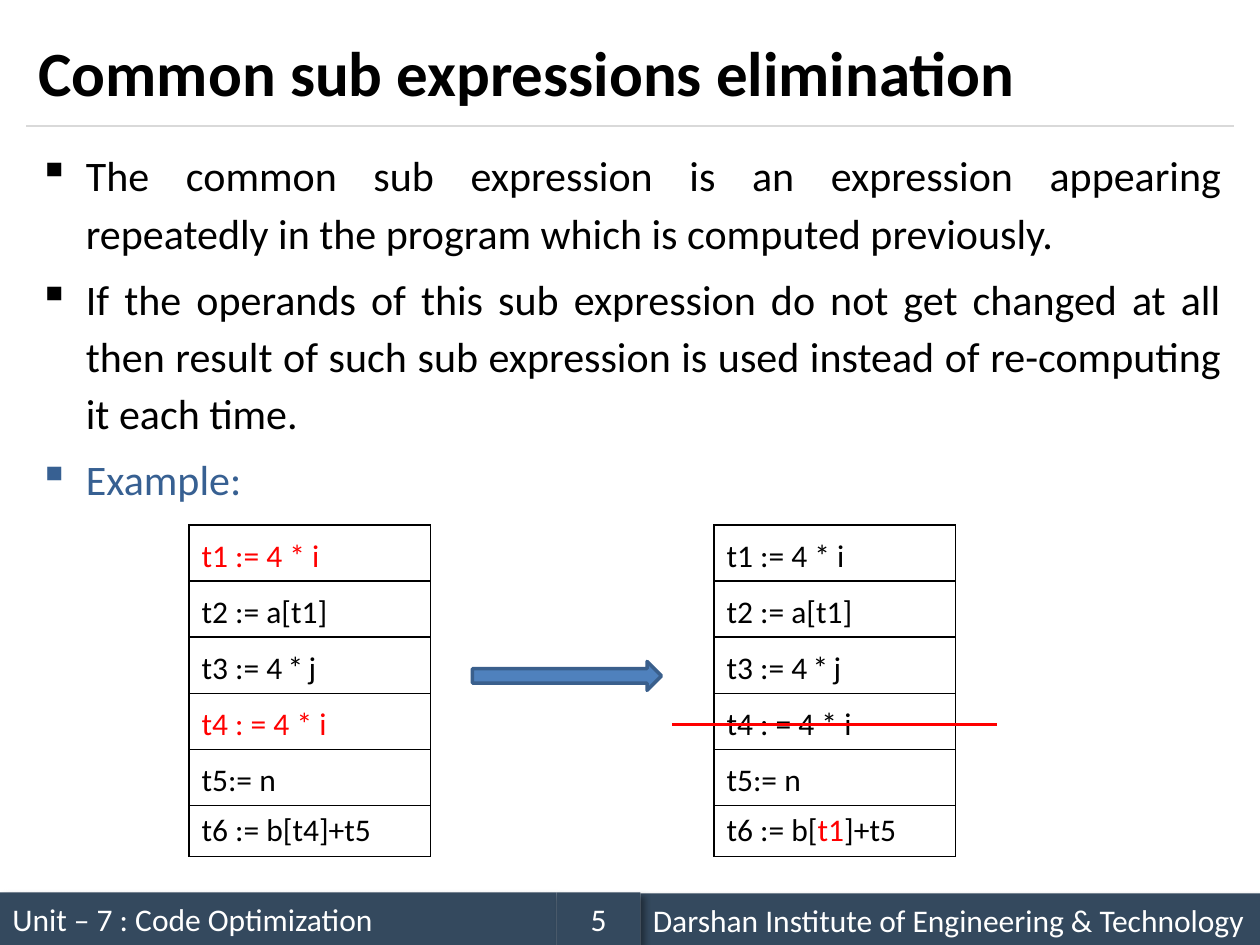
from lxml.etree import SubElement
from pptx import Presentation
from pptx.dml.color import RGBColor
from pptx.enum.shapes import MSO_CONNECTOR as Line, MSO_SHAPE as Shape
from pptx.enum.text import MSO_ANCHOR as Anchor, PP_ALIGN as Align
from pptx.oxml.ns import qn
from pptx.util import Pt

COLORS = {"text": "000000", "white": "FFFFFF", "red": "FF0000", "accent": "376092",
          "rule": "D9D9D9", "bar": "34495E", "arrow": "4F81BD", "arrow_edge": "3A5F8C"}
FONT = "Calibri"
BULLETS = [
    ("The common sub expression is an expression appearing repeatedly in the program "
     "which is computed previously.", "text", Align.JUSTIFY),
    ("If the operands of this sub expression do not get changed at all then result of "
     "such sub expression is used instead of re-computing it each time.", "text", Align.JUSTIFY),
    ("Example:", "accent", Align.LEFT),
]


def rgb(name):
    return RGBColor.from_string(COLORS[name])


def write(para, text, size=18, color="text", bold=False, align=None, tracking=0):
    """Add one formatted run to a paragraph."""
    if align is not None:
        para.alignment = align
    span = para.add_run()
    span.text = text
    span.font.name, span.font.size, span.font.bold = FONT, Pt(size), bold
    span.font.color.rgb = rgb(color)
    if tracking:
        span._r.get_or_add_rPr().set("spc", str(tracking * 100))


def add_text_box(page, left, top, width, height, anchor=Anchor.TOP):
    frame = page.shapes.add_textbox(Pt(left), Pt(top), Pt(width), Pt(height)).text_frame
    frame.word_wrap = True
    frame.vertical_anchor = anchor
    return frame


def add_line(page, left, right, y, color, width):
    line = page.shapes.add_connector(Line.STRAIGHT, Pt(left), Pt(y), Pt(right), Pt(y))
    line.line.color.rgb = rgb(color)
    line.line.width = Pt(width)
    SubElement(line._element.spPr, qn("a:effectLst"))


def add_header(page, left, top, width, height):
    frame = add_text_box(page, left, top, width, height, Anchor.MIDDLE)
    write(frame.paragraphs[0], "Common sub expressions elimination", size=36, bold=True)
    add_line(page, left, left + width, top + height, "rule", 0.75)


def add_bullets(page, left, top, width, height):
    frame = add_text_box(page, left, top, width, height)
    for index, (text, color, align) in enumerate(BULLETS):
        para = frame.add_paragraph() if index else frame.paragraphs[0]
        para.line_spacing = 1.14
        para.space_before = Pt(4.8 if index else 0)
        props = para._p.get_or_add_pPr()
        props.set("marL", str(Pt(27)))
        props.set("indent", str(Pt(-27)))
        SubElement(props, qn("a:buChar"), char="▪")
        write(para, text, size=24, color=color, align=align)


def set_borders(cell):
    props = cell._tc.get_or_add_tcPr()
    for side in ("lnL", "lnR", "lnT", "lnB"):
        edge = SubElement(props, qn(f"a:{side}"), w=str(Pt(1)))
        fill = SubElement(edge, qn("a:solidFill"))
        SubElement(fill, qn("a:srgbClr"), val=COLORS["text"])


def add_code_table(page, left, top, width, row_height, repeat_color, last_row):
    """One statement per row; repeat_color marks the repeated expression."""
    rows = [
        [("t1 := 4 * i", {"color": repeat_color})],
        [("t2 := a[t1]", {})],
        [("t3 := ", {}), ("4*j ", {"tracking": 3})],
        [("t4 : = 4 * i", {"color": repeat_color})],
        [("t5:= n", {})],
        last_row,
    ]
    table = page.shapes.add_table(len(rows), 1, Pt(left), Pt(top), Pt(width),
                                  Pt(row_height * len(rows))).table
    table.first_row = table.horz_banding = False
    for index, spans in enumerate(rows):
        cell = table.cell(index, 0)
        set_borders(cell)
        cell.fill.background()
        para = cell.text_frame.paragraphs[0]
        if spans is not last_row:
            para.alignment = Align.JUSTIFY
            para.line_spacing = 1.15
            para.space_after = Pt(10)
        for text, style in spans:
            write(para, text, **style)


def add_example(page, left, top, width, row_height):
    """Code before and after, with an arrow between and the dropped row struck out."""
    right = left + 300
    add_code_table(page, left, top, width, row_height, "red", [("t6 := b[t4]+t5", {})])
    add_code_table(page, right, top, width, row_height, "text",
                   [("t6 := b[", {}), ("t1", {"color": "red"}), ("]+t5", {})])
    add_line(page, right - 24, right + width + 24, top + 114, "red", 2)
    arrow = page.shapes.add_shape(Shape.RIGHT_ARROW, Pt(left + 162), Pt(top + 78),
                                  Pt(108), Pt(16.5))
    arrow.shadow.inherit = False
    arrow.fill.solid()
    arrow.fill.fore_color.rgb = rgb("arrow")
    arrow.line.color.rgb = rgb("arrow_edge")
    arrow.line.width = Pt(2)


def add_bar(page, left, top, width, height, text, align=Align.LEFT):
    bar = page.shapes.add_shape(Shape.RECTANGLE, Pt(left), Pt(top), Pt(width), Pt(height))
    bar.fill.solid()
    bar.fill.fore_color.rgb = rgb("bar")
    bar.line.fill.background()
    # Soft shadow towards the lower right
    bar.shadow.inherit = False
    effects = bar._element.spPr.find(qn("a:effectLst"))
    shadow = SubElement(effects, qn("a:outerShdw"), blurRad=str(Pt(4)), dist=str(Pt(3)),
                        dir="2700000", algn="tl", rotWithShape="0")
    color = SubElement(shadow, qn("a:srgbClr"), val=COLORS["text"])
    SubElement(color, qn("a:alpha"), val="40000")
    bar.text_frame.word_wrap = True
    bar.text_frame.vertical_anchor = Anchor.MIDDLE
    write(bar.text_frame.paragraphs[0], text, color="white", align=align)


def add_footer(page, left, top, width, height):
    unit, number = 318, 48
    add_bar(page, left, top, unit, height, "Unit – 7 : Code Optimization")
    add_bar(page, left + unit + number, top + 0.5, width - unit - number, height,
            "Darshan Institute of Engineering & Technology")
    add_bar(page, left + unit, top, number, height, "5", Align.CENTER)


def main():
    deck = Presentation()
    deck.slide_width, deck.slide_height = Pt(720), Pt(540)
    page = deck.slides.add_slide(deck.slide_layouts[6])
    add_footer(page, 0, 510, 720, 30)
    add_header(page, 15, 9, 690, 63)
    add_bullets(page, 15, 78, 690, 420)
    add_example(page, 108, 300, 138, 29.2)
    deck.save("out.pptx")


if __name__ == "__main__":
    main()
